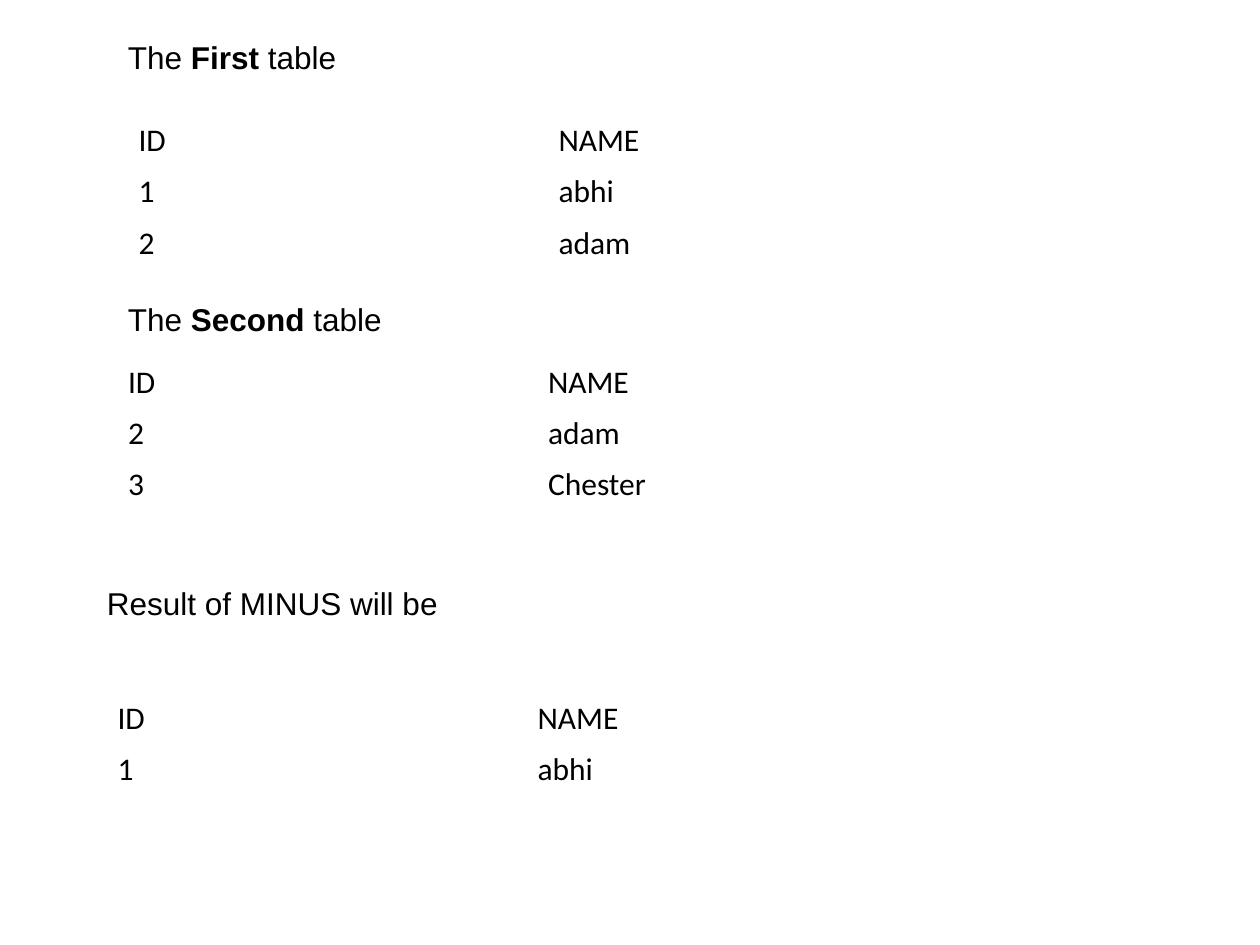
from pptx import Presentation
from pptx.dml.color import RGBColor
from pptx.enum.text import MSO_ANCHOR, MSO_AUTO_SIZE
from pptx.util import Pt

MIDDLE = MSO_ANCHOR.MIDDLE
GROW = MSO_AUTO_SIZE.SHAPE_TO_FIT_TEXT

THEME = {
    "ink": RGBColor(0, 0, 0),
    "size": Pt(18),
    "head": "Arial",
    "cell": "Calibri",
}
COL, ROW = 240, 28.8
BOX = (204, 28.8)


def add_run(para, text, face, bold=False):
    run = para.add_run()
    run.text = text
    look = {"name": face, "size": THEME["size"], "bold": bold}
    for key, value in look.items():
        setattr(run.font, key, value)
    run.font.color.rgb = THEME["ink"]


deck = Presentation()
deck.slide_width, deck.slide_height = Pt(720), Pt(540)
slide = deck.slides.add_slide(deck.slide_layouts[6])

# Tables: left, top, rows
tables = [
    (72, 66, [("ID", "NAME"), ("1", "abhi"), ("2", "adam")]),
    (66, 204, [("ID", "NAME"), ("2", "adam"), ("3", "Chester")]),
    (60, 396, [("ID", "NAME"), ("1", "abhi")]),
]
for left, top, rows in tables:
    grid = slide.shapes.add_table(
        len(rows), 2, Pt(left), Pt(top), Pt(2 * COL), Pt(ROW * len(rows))
    ).table
    grid.first_row = grid.horz_banding = False
    for r, row in enumerate(rows):
        for c, text in enumerate(row):
            cell = grid.cell(r, c)
            cell.fill.background()
            cell.vertical_anchor = MIDDLE
            add_run(cell.text_frame.paragraphs[0], text, THEME["cell"])

# Headings: left, top, runs of text and weight
heads = [
    (66, 18, [("The ", False), ("First", True), (" table", False)]),
    (66, 168, [("The ", False), ("Second", True), (" table", False)]),
    (54, 330, [("Result of MINUS will be", False)]),
]
frame_look = {"word_wrap": True, "auto_size": GROW, "vertical_anchor": MIDDLE}
for left, top, runs in heads:
    box = slide.shapes.add_textbox(Pt(left), Pt(top), Pt(BOX[0]), Pt(BOX[1]))
    for key, value in frame_look.items():
        setattr(box.text_frame, key, value)
    for text, bold in runs:
        add_run(box.text_frame.paragraphs[0], text, THEME["head"], bold)

deck.save("out.pptx")
